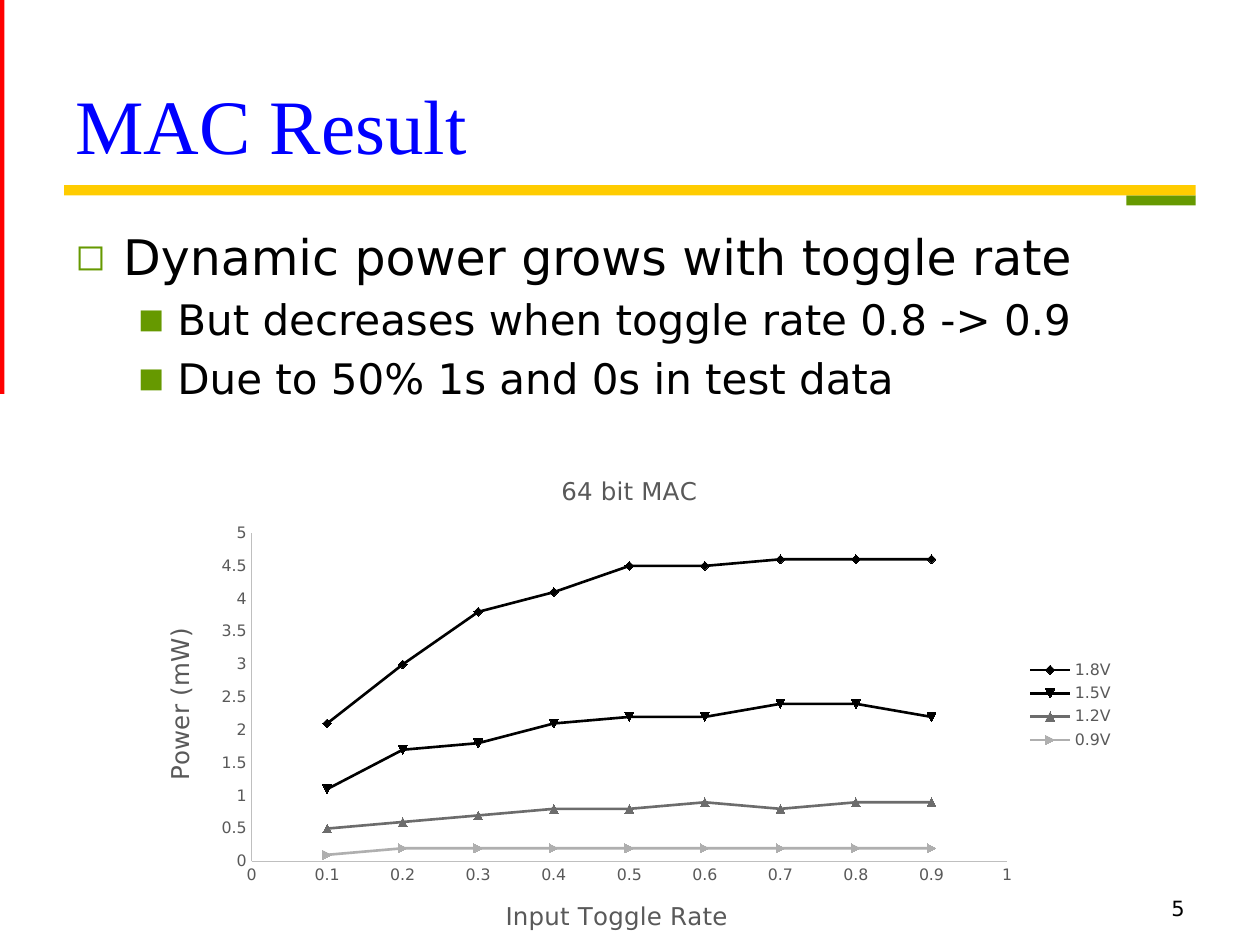
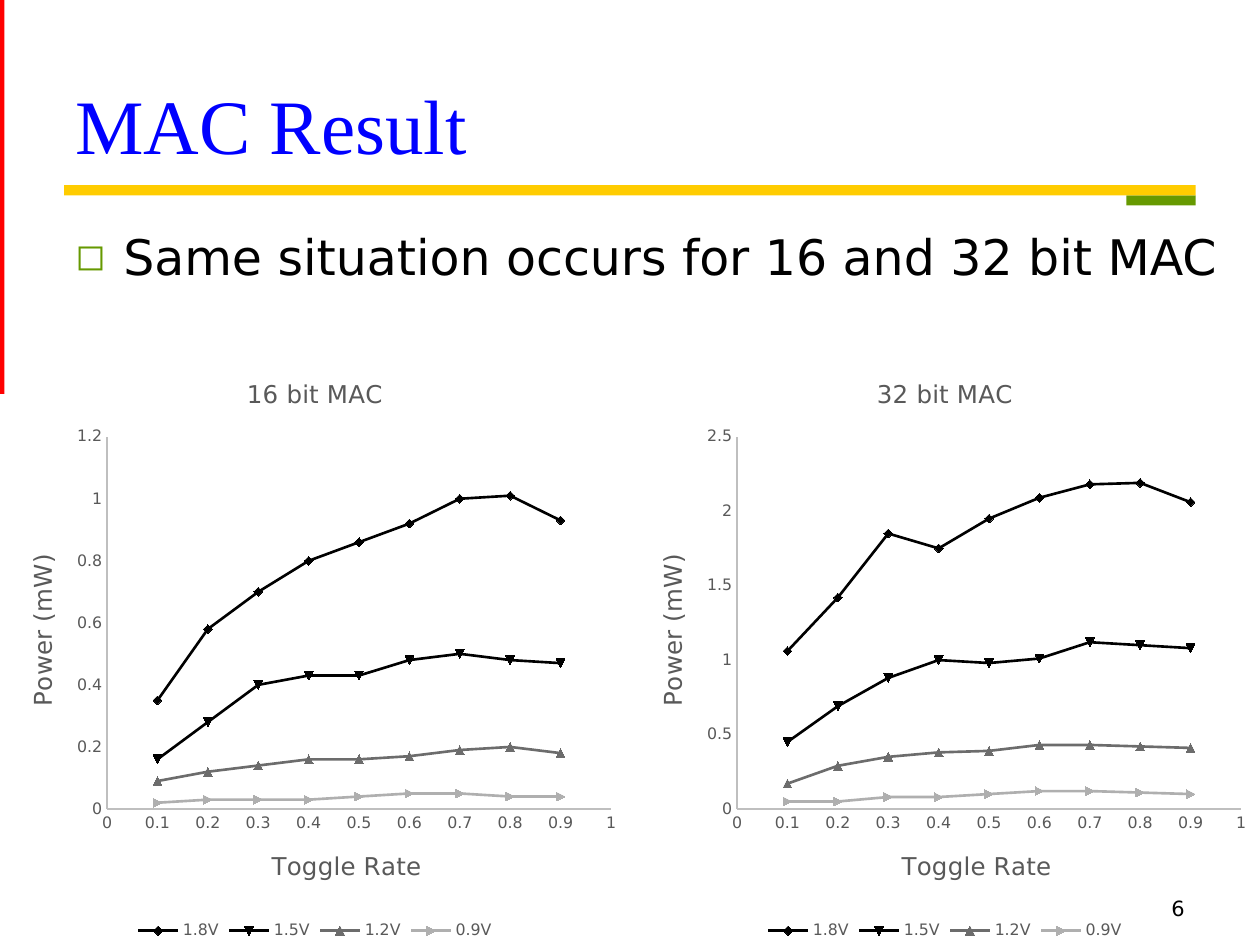
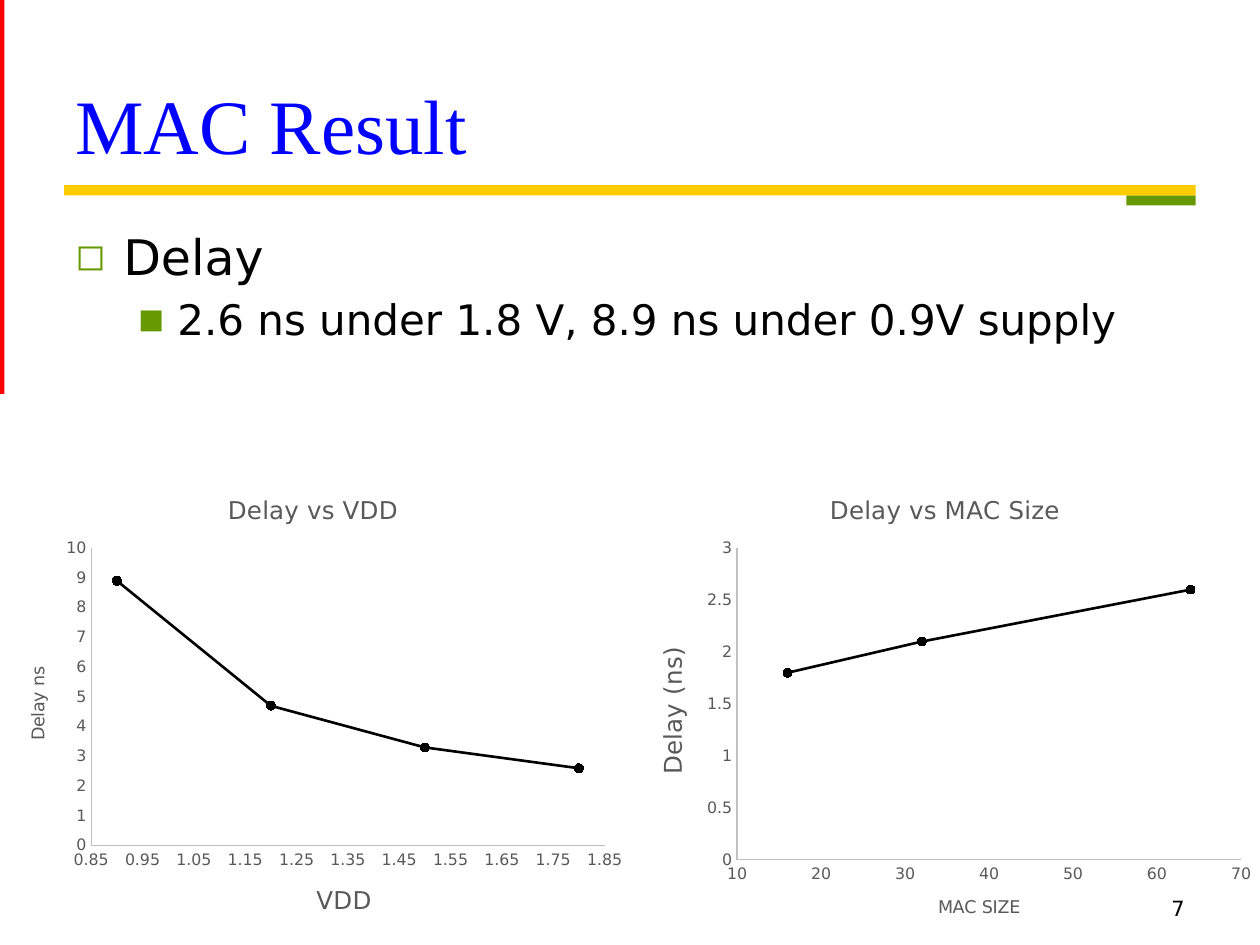
from lxml import etree
from pptx import Presentation
from pptx.chart.data import XyChartData
from pptx.dml.color import RGBColor
from pptx.enum.chart import XL_CHART_TYPE, XL_LEGEND_POSITION, XL_MARKER_STYLE, XL_TICK_MARK
from pptx.enum.shapes import MSO_SHAPE
from pptx.enum.text import MSO_ANCHOR, PP_ALIGN
from pptx.oxml.ns import qn
from pptx.util import Inches, Pt

SCATTER = XL_CHART_TYPE.XY_SCATTER_LINES
AUTO, CIRCLE = XL_MARKER_STYLE.AUTOMATIC, XL_MARKER_STYLE.CIRCLE
RIGHT, BOTTOM = XL_LEGEND_POSITION.RIGHT, XL_LEGEND_POSITION.BOTTOM
NO_TICK = XL_TICK_MARK.NONE
RECT = MSO_SHAPE.RECTANGLE

BLACK = RGBColor(0x00, 0x00, 0x00)
BLUE = RGBColor(0x00, 0x00, 0xFF)
RED = RGBColor(0xFF, 0x00, 0x00)
GOLD = RGBColor(0xFF, 0xCC, 0x00)
GREEN = RGBColor(0x66, 0x99, 0x00)
TEXT_GRAY = RGBColor(0x59, 0x59, 0x59)
AXIS_GRAY = RGBColor(0xBF, 0xBF, 0xBF)
MID_GRAY = RGBColor(0x6C, 0x6C, 0x6C)
LIGHT_GRAY = RGBColor(0xAF, 0xAF, 0xAF)

SANS, SERIF = "DejaVu Sans", "Times New Roman"
SERIES_COLORS = [BLACK, BLACK, MID_GRAY, LIGHT_GRAY]
VOLTAGES = ["1.8V", "1.5V", "1.2V", "0.9V"]
TOGGLE_RATES = [i / 10 for i in range(1, 10)]
RATE_SCALE = (0, 1, 0.1)

# Per level: size, left margin, hanging indent, bullet, bullet size in percent
LEVELS = [(28, 0.38, 0.38, "◻", 75), (24, 0.81, 0.31, "■", 65)]

MAC_16 = [
    [0.35, 0.58, 0.7, 0.8, 0.86, 0.92, 1, 1.01, 0.93],
    [0.16, 0.28, 0.4, 0.43, 0.43, 0.48, 0.5, 0.48, 0.47],
    [0.09, 0.12, 0.14, 0.16, 0.16, 0.17, 0.19, 0.2, 0.18],
    [0.02, 0.03, 0.03, 0.03, 0.04, 0.05, 0.05, 0.04, 0.04],
]
MAC_32 = [
    [1.06, 1.42, 1.85, 1.75, 1.95, 2.09, 2.18, 2.19, 2.06],
    [0.45, 0.69, 0.88, 1, 0.98, 1.01, 1.12, 1.1, 1.08],
    [0.17, 0.29, 0.35, 0.38, 0.39, 0.43, 0.43, 0.42, 0.41],
    [0.05, 0.05, 0.08, 0.08, 0.1, 0.12, 0.12, 0.11, 0.1],
]
MAC_64 = [
    [2.1, 3, 3.8, 4.1, 4.5, 4.5, 4.6, 4.6, 4.6],
    [1.1, 1.7, 1.8, 2.1, 2.2, 2.2, 2.4, 2.4, 2.2],
    [0.5, 0.6, 0.7, 0.8, 0.8, 0.9, 0.8, 0.9, 0.9],
    [0.1, 0.2, 0.2, 0.2, 0.2, 0.2, 0.2, 0.2, 0.2],
]


def set_font(font, size, color, name=SANS):
    values = {"size": Pt(size), "name": name, "bold": False}
    for key, value in values.items():
        setattr(font, key, value)
    font.color.rgb = color


def set_bullet(p, level):
    size, margin, hanging, char, percent = LEVELS[level]
    p.level = level
    p.space_before = Pt(size * 0.2)
    pPr = p._p.get_or_add_pPr()
    pPr.set("marL", str(Inches(margin)))
    pPr.set("indent", str(-Inches(hanging)))
    color = etree.SubElement(pPr, qn("a:buClr"))
    etree.SubElement(color, qn("a:srgbClr"), val=str(GREEN))
    etree.SubElement(pPr, qn("a:buSzPct"), val=str(percent * 1000))
    etree.SubElement(pPr, qn("a:buFont"), typeface=SANS)
    etree.SubElement(pPr, qn("a:buChar"), char=char)


def set_plot_box(chart, box):
    """Fix the inner plot area; box is x, y, w, h as fractions of the chart."""
    area = chart.element.find(".//" + qn("c:plotArea"))
    for old in area.findall(qn("c:layout")):
        area.remove(old)
    layout = etree.Element(qn("c:layout"))
    manual = etree.SubElement(layout, qn("c:manualLayout"))
    settings = [("layoutTarget", "inner"), ("xMode", "edge"), ("yMode", "edge")]
    for tag, value in settings + list(zip("xywh", box)):
        etree.SubElement(manual, qn("c:" + tag), val=str(value))
    area.insert(0, layout)


class Deck:
    def __init__(self):
        self.prs = Presentation()
        self.prs.slide_width, self.prs.slide_height = Inches(10), Inches(7.5)
        self.s = None

    def add_slide(self, title, number):
        self.s = self.prs.slides.add_slide(self.prs.slide_layouts[6])
        self.bar((8.94, 1.55, 0.55, 0.08), GREEN)
        self.bar((-1.58, 1.51, 3.15, 0.08), RED, 270)
        self.bar((0.51, 1.47, 8.98, 0.08), GOLD)
        p = self.text((0.5, 0.14, 9, 1.25), title, 44, BLUE, SERIF, MSO_ANCHOR.BOTTOM)
        p.line_spacing = 0.8
        p = self.text((7.17, 7.06, 2.33, 0.28), str(number), 12, BLACK)
        p.alignment = PP_ALIGN.RIGHT

    def bar(self, box, color, rotation=0):
        sp = self.s.shapes.add_shape(RECT, *map(Inches, box))
        sp.shadow.inherit = False
        sp.fill.solid()
        sp.fill.fore_color.rgb = color
        sp.line.fill.background()
        sp.rotation = rotation

    def frame(self, box, anchor=MSO_ANCHOR.TOP):
        tf = self.s.shapes.add_textbox(*map(Inches, box)).text_frame
        tf.word_wrap = True
        tf.vertical_anchor = anchor
        return tf

    def text(self, box, text, size, color, name=SANS, anchor=MSO_ANCHOR.TOP):
        p = self.frame(box, anchor).paragraphs[0]
        r = p.add_run()
        r.text = text
        set_font(r.font, size, color, name)
        return p

    def bullets(self, width, items):
        """Write items, the first at the top level and the rest below it."""
        tf = self.frame((0.5, 1.75, width, 4.95))
        for i, text in enumerate(items):
            p = tf.add_paragraph() if i else tf.paragraphs[0]
            level = min(i, 1)
            set_bullet(p, level)
            r = p.add_run()
            r.text = text
            set_font(r.font, LEVELS[level][0], BLACK)

    def chart_title(self, holder, text, size):
        holder.text_frame.text = text
        set_font(holder.text_frame.paragraphs[0].runs[0].font, size, TEXT_GRAY)

    def axis(self, axis, title, size, scale):
        low, high, step = scale
        values = {
            "minimum_scale": low, "maximum_scale": high, "major_unit": step,
            "has_major_gridlines": False, "has_minor_gridlines": False,
            "major_tick_mark": NO_TICK, "minor_tick_mark": NO_TICK,
        }
        for key, value in values.items():
            setattr(axis, key, value)
        set_font(axis.tick_labels.font, 9, TEXT_GRAY)
        axis.format.line.color.rgb = AXIS_GRAY
        axis.format.line.width = Pt(0.75)
        self.chart_title(axis.axis_title, title, size)

    def scatter(self, box, plot_box, title, x_axis, y_axis, xs, rows,
                names=("Series 1",), marker=CIRCLE, legend=None):
        """Draw a line scatter; each axis is title, title size and scale."""
        data = XyChartData()
        for name, row in zip(names, rows):
            series = data.add_series(name)
            for x, y in zip(xs, row):
                series.add_data_point(x, y)
        chart = self.s.shapes.add_chart(SCATTER, *map(Inches, box), data).chart
        set_font(chart.font, 10, BLACK)
        self.chart_title(chart.chart_title, title, 14)
        self.axis(chart.category_axis, *x_axis)
        self.axis(chart.value_axis, *y_axis)
        y_title = chart.value_axis.axis_title.element
        y_title.find(".//" + qn("a:bodyPr")).set("rot", "-5400000")
        set_plot_box(chart, plot_box)
        chart.has_legend = legend is not None
        if chart.has_legend:
            chart.legend.position = legend
            chart.legend.include_in_layout = False
            set_font(chart.legend.font, 9, TEXT_GRAY)
        plot = chart.plots[0]
        plot.vary_by_categories = False
        for series, color in zip(plot.series, SERIES_COLORS):
            series.smooth = False
            series.format.line.color.rgb = color
            series.format.line.width = Pt(1.5)
            series.marker.style = marker
            series.marker.size = 5
            series.marker.format.fill.solid()
            series.marker.format.fill.fore_color.rgb = color
            series.marker.format.line.color.rgb = color

    def power_chart(self, box, plot_box, title, x_title, y_scale, rows, legend):
        self.scatter(box, plot_box, title, (x_title, 14, RATE_SCALE),
                     ("Power (mW)", 14, y_scale), TOGGLE_RATES, rows,
                     VOLTAGES, AUTO, legend)


def main():
    deck = Deck()

    deck.add_slide("MAC Result", 5)
    deck.bullets(9, ["Dynamic power grows with toggle rate",
                     "But decreases when toggle rate 0.8 -> 0.9",
                     "Due to 50% 1s and 0s in test data"])
    deck.power_chart((1.05, 3.59, 7.89, 4.01), (0.12, 0.16, 0.76, 0.65),
                     "64 bit MAC", "Input Toggle Rate", (0, 5, 0.5), MAC_64, RIGHT)

    deck.add_slide("MAC Result", 6)
    deck.bullets(9.38, ["Same situation occurs for 16 and 32 bit MAC"])
    for left, title, y_scale, rows in [(5, "32 bit MAC", (0, 2.5, 0.5), MAC_32),
                                       (0, "16 bit MAC", (0, 1.2, 0.2), MAC_16)]:
        deck.power_chart((left, 2.81, 5, 4.69), (0.17, 0.14, 0.8, 0.63),
                         title, "Toggle Rate", y_scale, rows, BOTTOM)

    deck.add_slide("MAC Result", 7)
    deck.bullets(9.38, ["Delay", "2.6 ns under 1.8 V, 8.9 ns under 0.9V supply"])
    deck.scatter((-0.03, 3.75, 5.03, 3.75), (0.15, 0.16, 0.81, 0.63), "Delay vs VDD",
                 ("VDD", 14, (0.85, 1.85, 0.1)), ("Delay ns", 10, (0, 10, 1)),
                 [0.9, 1.2, 1.5, 1.8], [[8.9, 4.7, 3.3, 2.6]])
    deck.scatter((5, 3.75, 5, 3.75), (0.17, 0.16, 0.8, 0.66), "Delay vs MAC Size",
                 ("MAC SIZE", 10, (10, 70, 10)), ("Delay (ns)", 14, (0, 3, 0.5)),
                 [16, 32, 64], [[1.8, 2.1, 2.6]])

    deck.prs.save("out.pptx")


if __name__ == "__main__":
    main()
